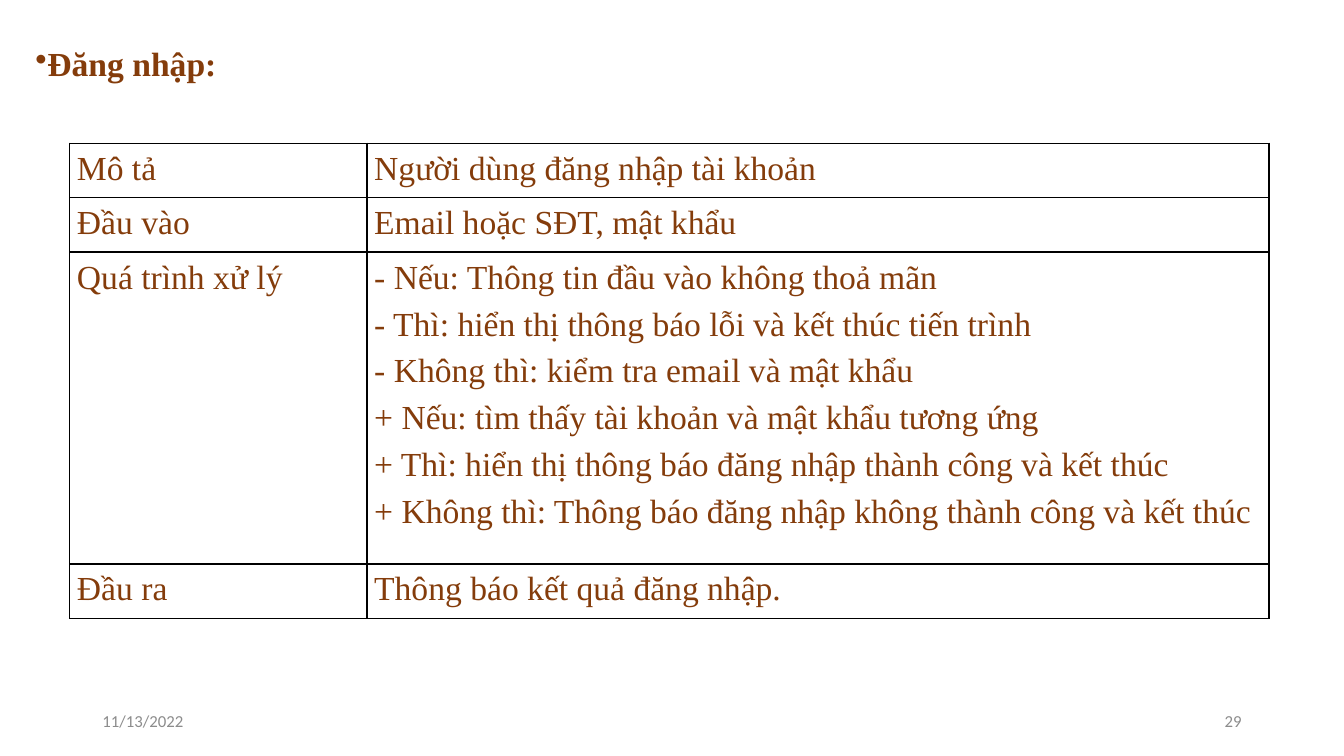
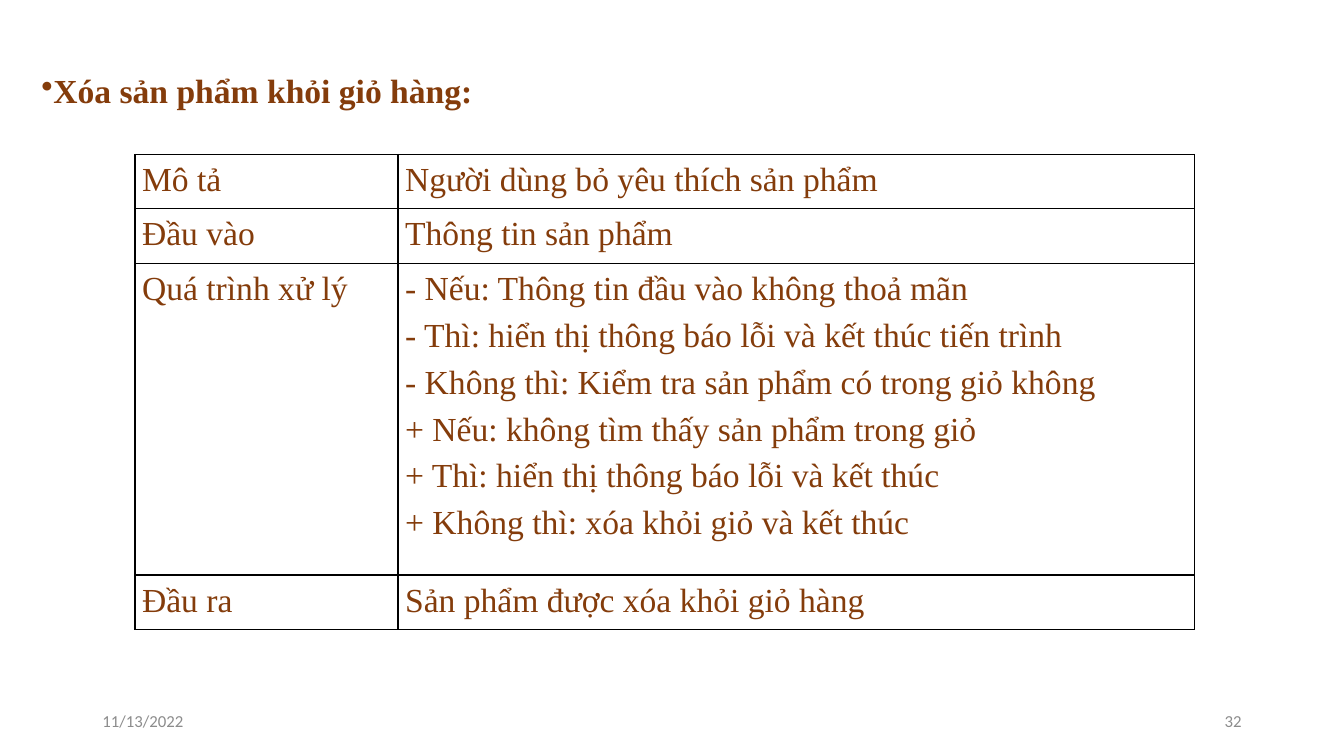
"""Build two function description slides, each with a title and a table."""
from lxml.etree import SubElement as Sub
from pptx import Presentation
from pptx.dml.color import RGBColor
from pptx.enum.text import MSO_ANCHOR, MSO_AUTO_SIZE as FIT, PP_ALIGN
from pptx.oxml.ns import qn
from pptx.util import Cm, Pt

BROWN = RGBColor(0x84, 0x3C, 0x0B)
GREY = RGBColor(0x8C, 0x8C, 0x8C)
BODY = {"name": "Times New Roman", "size": Pt(24), "bold": False}
HEAD = BODY | {"bold": True}
FOOT = {"name": "Calibri", "size": Pt(12)}
PAD = Cm(0.18)
CELL = {"margin_left": PAD, "margin_right": PAD, "margin_top": PAD,
        "margin_bottom": PAD, "vertical_anchor": MSO_ANCHOR.TOP}
FRAME = {"word_wrap": True, "auto_size": FIT.NONE,
         "vertical_anchor": MSO_ANCHOR.MIDDLE}
LABELS = ["Mô tả", "Đầu vào", "Quá trình xử lý", "Đầu ra"]
HEIGHTS = [1.37, 1.37, 7.86, 1.37]
CHECK = """- Nếu: Thông tin đầu vào không thoả mãn
- Thì: hiển thị thông báo lỗi và kết thúc tiến trình
"""

PAGES = [
    {"title": "Đăng nhập:", "head": (0.64, 1), "grid": (1.76, 3.61),
     "cols": (7.49, 22.73), "num": "29",
     "texts": ["Người dùng đăng nhập tài khoản",
               "Email hoặc SĐT, mật khẩu",
               CHECK + """- Không thì: kiểm tra email và mật khẩu
+ Nếu: tìm thấy tài khoản và mật khẩu tương ứng
+ Thì: hiển thị thông báo đăng nhập thành công và kết thúc
+ Không thì: Thông báo đăng nhập không thành công và kết thúc""",
               "Thông báo kết quả đăng nhập."]},
    {"title": "Xóa sản phẩm khỏi giỏ hàng:", "head": (0.79, 1.68),
     "grid": (3.4, 3.89), "cols": (6.63, 20.07), "num": "32",
     "texts": ["Người dùng bỏ yêu thích sản phẩm",
               "Thông tin sản phẩm",
               CHECK + """- Không thì: Kiểm tra sản phẩm có trong giỏ không
+ Nếu: không tìm thấy sản phẩm trong giỏ
+ Thì: hiển thị thông báo lỗi và kết thúc
+ Không thì: xóa khỏi giỏ và kết thúc""",
               "Sản phẩm được xóa khỏi giỏ hàng"]},
]


def assign(item, values):
    for key, value in values.items():
        setattr(item, key, value)


def write(frame, text, look, color, align=PP_ALIGN.LEFT):
    frame.text = text
    for i, para in enumerate(frame.paragraphs):
        para.alignment = align
        para.space_before = Pt(7 if i else 0)
        for run in para.runs:
            assign(run.font, look)
            run.font.color.rgb = color


deck = Presentation()
deck.slide_width, deck.slide_height = Cm(33.87), Cm(19.05)

for page in PAGES:
    slide = deck.slides.add_slide(deck.slide_layouts[5])

    title = slide.shapes.title
    left, top = page["head"]
    assign(title, {"left": Cm(left), "top": Cm(top),
                   "width": Cm(14), "height": Cm(1.2)})
    frame = title.text_frame
    assign(frame, FRAME | {"margin_top": 0, "margin_bottom": 0})
    write(frame, page["title"], HEAD, BROWN)
    props = frame.paragraphs[0]._p.get_or_add_pPr()
    props.set("marL", "0")
    props.set("indent", "0")
    Sub(props, qn("a:buChar"), char="•")

    left, top = page["grid"]
    table = slide.shapes.add_table(
        len(LABELS), 2, Cm(left), Cm(top),
        Cm(sum(page["cols"])), Cm(sum(HEIGHTS))).table
    assign(table, {"first_row": False, "horz_banding": False})
    for col, width in zip(table.columns, page["cols"]):
        col.width = Cm(width)
    for row, height, *texts in zip(table.rows, HEIGHTS, LABELS, page["texts"]):
        row.height = Cm(height)
        for cell, text in zip(row.cells, texts):
            assign(cell, CELL)
            write(cell.text_frame, text, BODY, BROWN)
            props = cell._tc.get_or_add_tcPr()
            for side in "LRTB":
                line = Sub(props, qn(f"a:ln{side}"), w=str(Pt(1)))
                fill = Sub(line, qn("a:solidFill"))
                Sub(fill, qn("a:srgbClr"), val="000000")
            cell.fill.background()

    for left, text, align in [(2.33, "11/13/2022", PP_ALIGN.LEFT),
                              (23.92, page["num"], PP_ALIGN.RIGHT)]:
        box = slide.shapes.add_textbox(Cm(left), Cm(17.66), Cm(7.62), Cm(1.01))
        assign(box.text_frame, FRAME)
        write(box.text_frame, text, FOOT, GREY, align)

deck.save("out.pptx")
